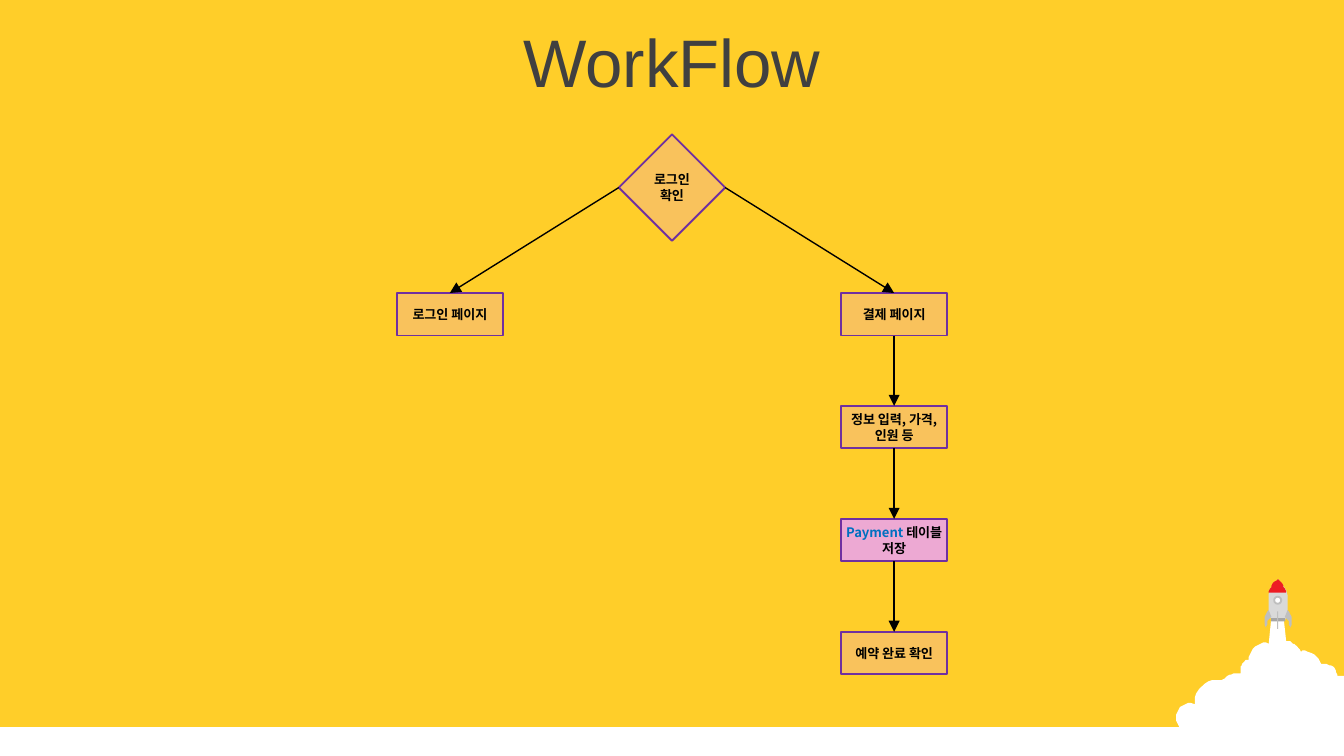
from lxml.etree import SubElement
from pptx import Presentation
from pptx.dml.color import RGBColor
from pptx.enum.shapes import MSO_CONNECTOR, MSO_SHAPE
from pptx.enum.text import MSO_ANCHOR, MSO_AUTO_SIZE, PP_ALIGN
from pptx.oxml.ns import qn
from pptx.util import Pt

BLACK, BLUE, PINK, PURPLE = "000000", "0070C0", "EDA9D3", "7030A0"
WHITE, SILVER = "FFFFFF", "BFBFBF"
KOREAN = "Noto Sans CJK KR"
BOX_W, BOX_H = 57, 22.75
CENTER, BRANCH = 360, 119
ROW_TOP, ROW_STEP = 157, 60.5
UNIT = Pt(0.72)

CLOUD = [
    (946, 459), (955, 459), (957, 477), (959, 477),
    (962, 478, 965, 480, 967, 483), (968, 485), (969, 484),
    (975, 484, 981, 488, 983, 494), (986, 494),
    (990, 494, 994, 497, 995, 502), (995, 503), (1000, 503), (1000, 560),
    (998, 560), (994, 560, 990, 559, 987, 557), (985, 557),
    (983, 558, 981, 559, 978, 559), (975, 559, 973, 557, 971, 555),
    (969, 554), (967, 558, 964, 559, 960, 559),
    (957, 559, 954, 558, 952, 556), (949, 556),
    (945, 559, 940, 561, 934, 561), (923, 561, 917, 556, 913, 551),
    (911, 553, 907, 554, 904, 553), (900, 552, 894, 550, 893, 545),
    (892, 544), (891, 545, 889, 545, 886, 545),
    (880, 545, 875, 540, 875, 534), (875, 528, 880, 523, 886, 523),
    (889, 524), (889, 522), (889, 513, 896, 506, 906, 506),
    (909, 506), (911, 505), (914, 502, 918, 501, 923, 501),
    (923, 498), (923, 495, 925, 492, 928, 491), (929, 491), (929, 489),
    (930, 483, 936, 478, 942, 478), (944, 479),
]
BODY = [(946, 462), (944, 453, 940, 440, 951, 431), (962, 441, 958, 454, 956, 462)]
NOSE = [(951, 431), (954, 434, 956, 437, 957, 441), (944, 441),
        (945, 437, 947, 434, 951, 431)]
FIN = [(944, 454), (946, 459), (942, 461, 943, 466, 942, 468),
       (941, 465, 940, 457, 944, 454)]


def rgb(code):
    """Turn a hex string into a colour."""
    return RGBColor.from_string(code)


def paint(shape, fill, line=None):
    """Give a shape a flat fill and an optional outline."""
    shape.shadow.inherit = False
    shape.fill.solid()
    shape.fill.fore_color.rgb = rgb(fill)
    if line:
        shape.line.color.rgb = rgb(line)
        shape.line.width = Pt(1)
    else:
        shape.line.fill.background()


def add_preset(shapes, kind, x, y, w, h, fill, line=None):
    """Add a painted preset shape."""
    sp = shapes.add_shape(kind, Pt(x), Pt(y), Pt(w), Pt(h))
    paint(sp, fill, line)
    return sp


def curve(start, c, steps=8):
    """List points along a cubic curve after its start."""
    points = []
    for i in range(1, steps + 1):
        t = i / steps
        u = 1 - t
        points.append(tuple(
            u**3 * start[k] + 3 * u * u * t * c[k]
            + 3 * u * t * t * c[k + 2] + t**3 * c[k + 4] for k in (0, 1)))
    return points


def add_outline(shapes, nodes, fill):
    """Add a closed outline of straight and curved pieces."""
    points = [nodes[0]]
    for node in nodes[1:]:
        points += [node] if len(node) == 2 else curve(points[-1], node)
    builder = shapes.build_freeform(*points[0], scale=UNIT)
    builder.add_line_segments(points[1:], close=True)
    paint(builder.convert_to_shape(), fill)


def add_rocket(s):
    """Draw the rocket and its cloud in the corner."""
    shapes = s.shapes.add_group_shape().shapes
    add_outline(shapes, CLOUD, WHITE)
    add_outline(shapes, BODY, "D9D9D9")
    add_preset(shapes, MSO_SHAPE.RECTANGLE, 681, 331.2, 7.5, 1.8, "A6A6A6")
    add_outline(shapes, NOSE, "ED1C24")
    add_preset(shapes, MSO_SHAPE.OVAL, 682.6, 319.7, 3.8, 3.8, WHITE, SILVER)
    add_preset(shapes, MSO_SHAPE.RECTANGLE, 684.2, 327.6, 0.6, 9.4, SILVER)
    mirrored = [tuple(v if i % 2 else 1902 - v for i, v in enumerate(n)) for n in FIN]
    for fin in (FIN, mirrored):
        add_outline(shapes, fin, SILVER)


def add_run(p, text, size, font, color, bold=False):
    """Add one formatted run."""
    r = p.add_run()
    r.text = text
    r.font.size = Pt(size)
    r.font.bold = bold
    r.font.name = font
    r.font.color.rgb = rgb(color)
    SubElement(r.font._element, qn("a:ea"), typeface=font)


def add_title(s, text):
    """Place and format the slide title."""
    sp = s.shapes.title
    sp.left, sp.top, sp.width, sp.height = Pt(0), Pt(10), Pt(720), Pt(45.5)
    tf = sp.text_frame
    tf.auto_size = MSO_AUTO_SIZE.NONE
    tf.vertical_anchor = MSO_ANCHOR.MIDDLE
    p = tf.paragraphs[0]
    p.alignment = PP_ALIGN.CENTER
    add_run(p, text, 36, "Arial", "404040")


def add_step(s, kind, center, y, h, lines, alpha=30):
    """Add a flow step; each line is a list of text and colour pairs."""
    sp = add_preset(s.shapes, kind, center - BOX_W / 2, y, BOX_W, h, PINK, PURPLE)
    if alpha < 100:
        color = sp.fill._xPr.find(qn("a:solidFill"))[0]
        SubElement(color, qn("a:alpha"), val=str(alpha * 1000))
    tf = sp.text_frame
    tf.word_wrap = False
    tf.margin_left = tf.margin_right = Pt(0)
    tf.vertical_anchor = MSO_ANCHOR.MIDDLE
    for i, line in enumerate(lines):
        p = tf.add_paragraph() if i else tf.paragraphs[0]
        p.alignment = PP_ALIGN.CENTER
        p.line_spacing = Pt(8.5)
        for text, color in line:
            add_run(p, text, 7, KOREAN, color, True)
    return sp


def add_arrow(s, start, start_site, end):
    """Join a step to the top of the next one with an arrow."""
    line = s.shapes.add_connector(MSO_CONNECTOR.STRAIGHT, 0, 0, 0, 0)
    line.begin_connect(start, start_site)
    line.end_connect(end, 0)
    line.line.color.rgb = rgb(BLACK)
    line.line.width = Pt(0.75)
    SubElement(line.line._get_or_add_ln(), qn("a:tailEnd"), type="triangle")
    SubElement(line._element.spPr, qn("a:effectLst"))


def main():
    """Build the workflow slide."""
    prs = Presentation()
    prs.slide_width, prs.slide_height = Pt(720), Pt(405)
    s = prs.slides.add_slide(prs.slide_layouts[5])
    s.background.fill.solid()
    s.background.fill.fore_color.rgb = rgb("FFCE29")
    add_preset(s.shapes, MSO_SHAPE.RECTANGLE, 0, 389.5, 720, 15.5, WHITE)
    add_rocket(s)
    add_title(s, "WorkFlow")

    check = add_step(s, MSO_SHAPE.DIAMOND, CENTER, 72, BOX_W,
                     [[("로그인", BLACK)], [("확인", BLACK)]])
    login = add_step(s, MSO_SHAPE.RECTANGLE, CENTER - BRANCH, ROW_TOP, BOX_H,
                     [[("로그인 페이지", BLACK)]])
    steps = [
        ([[("결제 페이지", BLACK)]], 30),
        ([[("정보 입력, 가격,", BLACK)], [("인원 등", BLACK)]], 30),
        ([[("Payment ", BLUE), ("테이블", BLACK)], [("저장", BLACK)]], 100),
        ([[("예약 완료 확인", BLACK)]], 30),
    ]
    boxes = [add_step(s, MSO_SHAPE.RECTANGLE, CENTER + BRANCH, ROW_TOP + i * ROW_STEP,
                      BOX_H, lines, alpha) for i, (lines, alpha) in enumerate(steps)]

    add_arrow(s, check, 1, login)
    add_arrow(s, check, 3, boxes[0])
    for upper, lower in zip(boxes, boxes[1:]):
        add_arrow(s, upper, 2, lower)
    prs.save("out.pptx")


if __name__ == "__main__":
    main()
